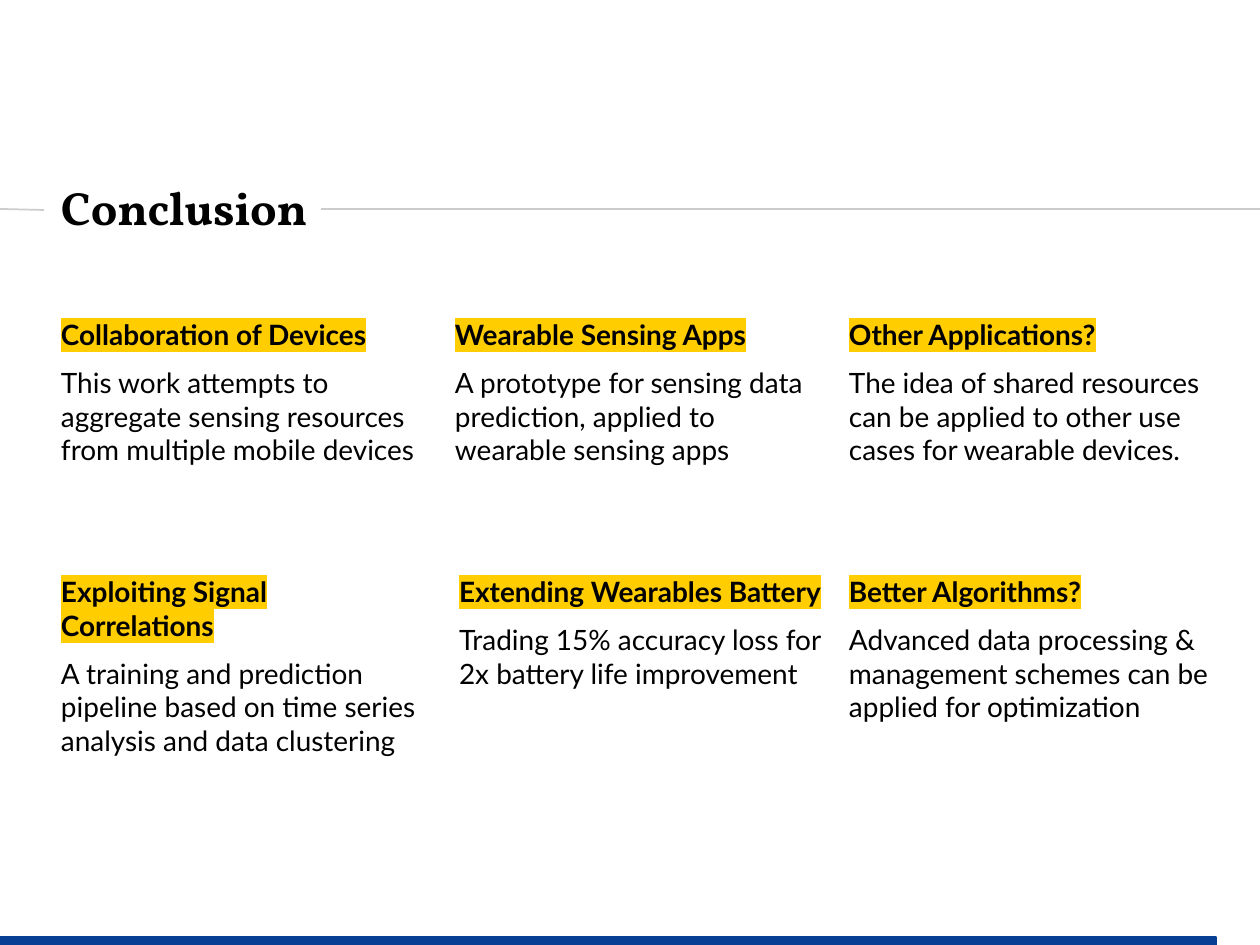
from lxml.etree import SubElement
from pptx import Presentation
from pptx.dml.color import RGBColor as Rgb
from pptx.enum.shapes import MSO_CONNECTOR as Conn, MSO_SHAPE as Kind
from pptx.enum.text import MSO_ANCHOR as Anchor
from pptx.oxml.ns import qn
from pptx.util import Emu, Pt

# Content: three columns in each row, as (heading, text, shift in px)
TITLE = "Conclusion"
ROWS = [
    [
        ("Collaboration of Devices",
         "This work attempts to aggregate sensing resources from multiple mobile devices", 0),
        ("Wearable Sensing Apps",
         "A prototype for sensing data prediction, applied to wearable sensing apps", 0),
        ("Other Applications?",
         "The idea of shared resources can be applied to other use cases for wearable devices.", 0),
    ],
    [
        ("Exploiting Signal Correlations",
         "A training and prediction pipeline based on time series analysis and data clustering", 0),
        ("Extending Wearables Battery",
         "Trading 15% accuracy loss for 2x battery life improvement", 4),
        ("Better Algorithms?",
         "Advanced data processing & management schemes can be applied for optimization", 0),
    ],
]
COLORS = {"ink": "000000", "mark": "FFCD00", "rule": "CCCCCC", "bar": "063F94"}

# Layout in px
WIDE, HIGH = 1260, 945
LEFT, TOP = 44, 301
STEP_X, STEP_Y = 394, 257
CARD_W, CARD_H = 398, 222
RULE_Y = 209
PAD = 17


def px(n):
    return Emu(round(n * 914400 / 168))


def color(name):
    return Rgb.from_string(COLORS[name])


def add_box(slide, x, y, w, h):
    box = slide.shapes.add_textbox(px(x), px(y), px(w), px(h))
    frame = box.text_frame
    frame.word_wrap = True
    frame.margin_left = frame.margin_right = px(PAD)
    frame.margin_top = frame.margin_bottom = px(PAD)
    return box


def add_run(para, text, face, size, bold=False, mark=False):
    run = para.add_run()
    run.text = text
    font = run.font
    font.size, font.bold = Pt(size), bold
    font.color.rgb = color("ink")
    font.name = face
    if mark:
        props = run._r.get_or_add_rPr()
        light = SubElement(props, qn("a:highlight"))
        SubElement(light, qn("a:srgbClr"), val=COLORS["mark"])
        props.find(qn("a:latin")).addprevious(light)


def add_rule(slide, x, end):
    line = slide.shapes.add_connector(
        Conn.STRAIGHT, px(x), px(RULE_Y), px(end), px(RULE_Y))
    line.line.color.rgb = color("rule")
    line.line.width = Pt(0.75)
    SubElement(line._element.spPr, qn("a:effectLst"))
    return line


def add_card(slide, x, y, head, body):
    frame = add_box(slide, x, y, CARD_W, CARD_H).text_frame
    top, rest = frame.paragraphs[0], frame.add_paragraph()
    top.space_before = rest.space_before = Pt(6)
    add_run(top, head, "Lato", 12, bold=True, mark=True)
    add_run(rest, body, "Lato", 12)


def main():
    deck = Presentation()
    deck.slide_width, deck.slide_height = px(WIDE), px(HIGH)
    slide = deck.slides.add_slide(deck.slide_layouts[6])

    # Title between two rules
    title = add_box(slide, LEFT, 170, 1047, 80)
    title.text_frame.vertical_anchor = Anchor.MIDDLE
    para = title.text_frame.paragraphs[0]
    para.line_spacing = 0.9
    add_run(para, TITLE, "Vollkorn", 20, bold=True)
    add_rule(slide, 0, LEFT).end_connect(title, 1)
    add_rule(slide, 321, WIDE)

    # Grid of cards
    for r, row in enumerate(ROWS):
        for c, (head, body, shift) in enumerate(row):
            add_card(slide, LEFT + c * STEP_X + shift, TOP + r * STEP_Y, head, body)

    # Progress bar
    bar = slide.shapes.add_shape(Kind.RECTANGLE, 0, px(937), px(1216), px(8))
    bar.shadow.inherit = False
    bar.fill.solid()
    bar.fill.fore_color.rgb = bar.line.color.rgb = color("bar")
    bar.line.width = Pt(1)

    deck.save("out.pptx")


if __name__ == "__main__":
    main()
